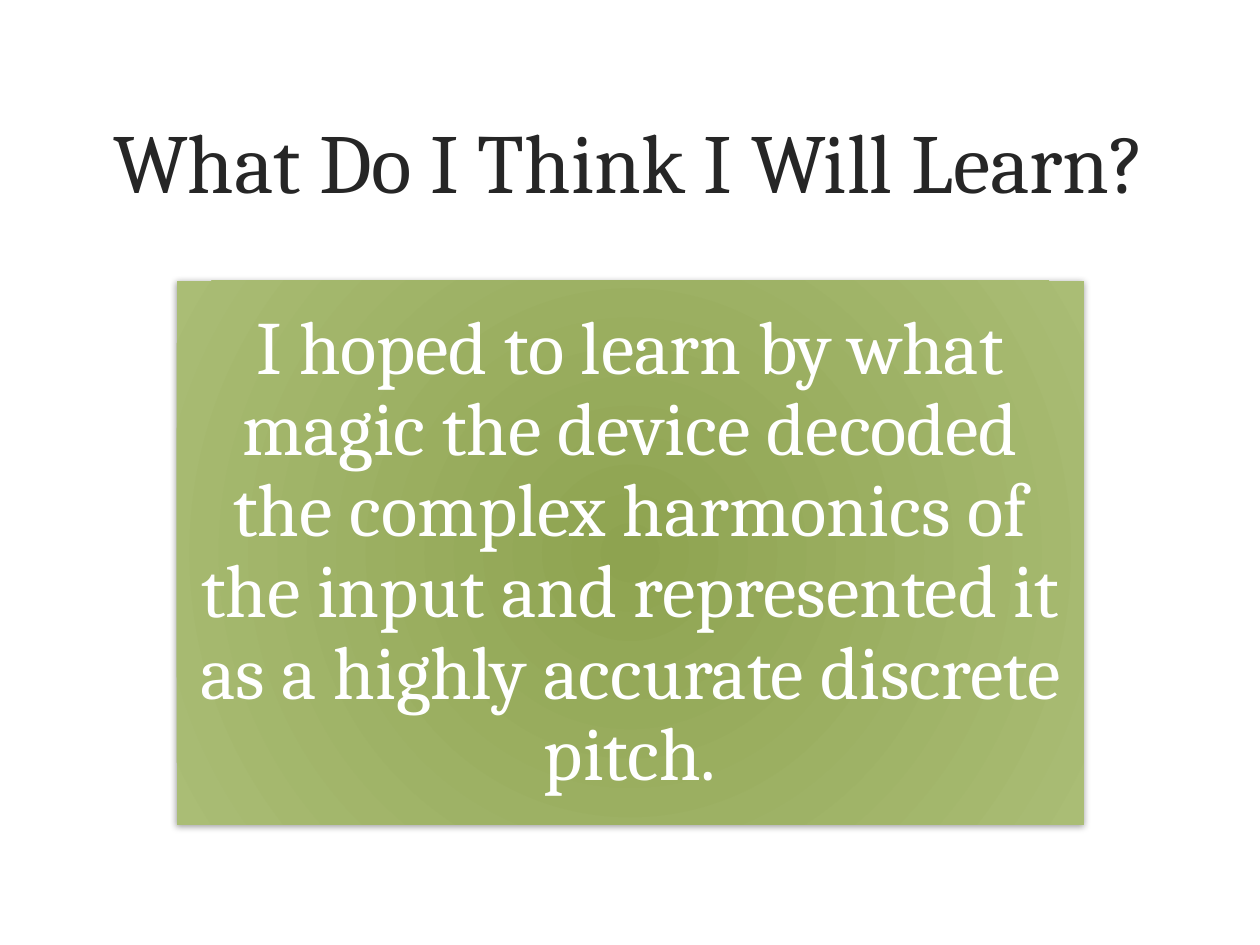
from lxml.etree import fromstring
from pptx import Presentation
from pptx.dml.color import RGBColor
from pptx.enum.shapes import MSO_SHAPE
from pptx.enum.text import MSO_ANCHOR, PP_ALIGN
from pptx.oxml.ns import nsdecls
from pptx.util import Cm, Pt

HUES = {"ink": "262626", "white": "FFFFFF", "core": "8EA350", "rim": "AABD75", "shade": "000000"}


def write(shape, text, size, hue, pad=(0.25, 0.13), gap=1.0):
    frame = shape.text_frame
    frame.word_wrap = True
    frame.vertical_anchor = MSO_ANCHOR.MIDDLE
    frame.margin_left = frame.margin_right = Cm(pad[0])
    frame.margin_top = frame.margin_bottom = Cm(pad[1])
    para = frame.paragraphs[0]
    para.alignment = PP_ALIGN.CENTER
    para.line_spacing = gap
    run = para.add_run()
    run.text = text
    run.font.name = "Cambria"
    run.font.size = Pt(size)
    run.font.color.rgb = RGBColor.from_string(HUES[hue])


# Slide
deck = Presentation()
deck.slide_width, deck.slide_height = Cm(25.4), Cm(19.05)
slide = deck.slides.add_slide(deck.slide_layouts[5])

# Title
title = slide.shapes.title
title.left, title.top, title.width, title.height = Cm(1.52), Cm(1.22), Cm(22.33), Cm(4.01)
write(title, "What Do I Think I Will Learn?", 48, "ink")

# Green panel
panel = slide.shapes.add_shape(MSO_SHAPE.RECTANGLE, Cm(3.56), Cm(5.66), Cm(18.29), Cm(10.97))
panel.line.fill.background()
write(panel, "I hoped to learn by what magic the device decoded the complex harmonics "
      "of the input and represented it as a highly accurate discrete pitch.",
      43, "white", pad=(0.46, 0.46), gap=0.9)

# Round gradient and soft shadow
props = panel.element.spPr
grad = fromstring(f"""<a:gradFill {nsdecls("a")} rotWithShape="1"><a:gsLst>
<a:gs pos="0"><a:srgbClr val="{HUES['core']}"/></a:gs>
<a:gs pos="100000"><a:srgbClr val="{HUES['rim']}"/></a:gs></a:gsLst>
<a:path path="circle"><a:fillToRect l="40000" t="100000" r="40000" b="100000"/></a:path>
</a:gradFill>""")
shade = fromstring(f"""<a:effectLst {nsdecls("a")}>
<a:outerShdw blurRad="{Pt(4)}" dist="{Pt(1)}" dir="5400000" rotWithShape="0">
<a:srgbClr val="{HUES['shade']}"><a:alpha val="37000"/></a:srgbClr></a:outerShdw>
</a:effectLst>""")
props.prstGeom.addnext(grad)
props.append(shade)

deck.save("out.pptx")
